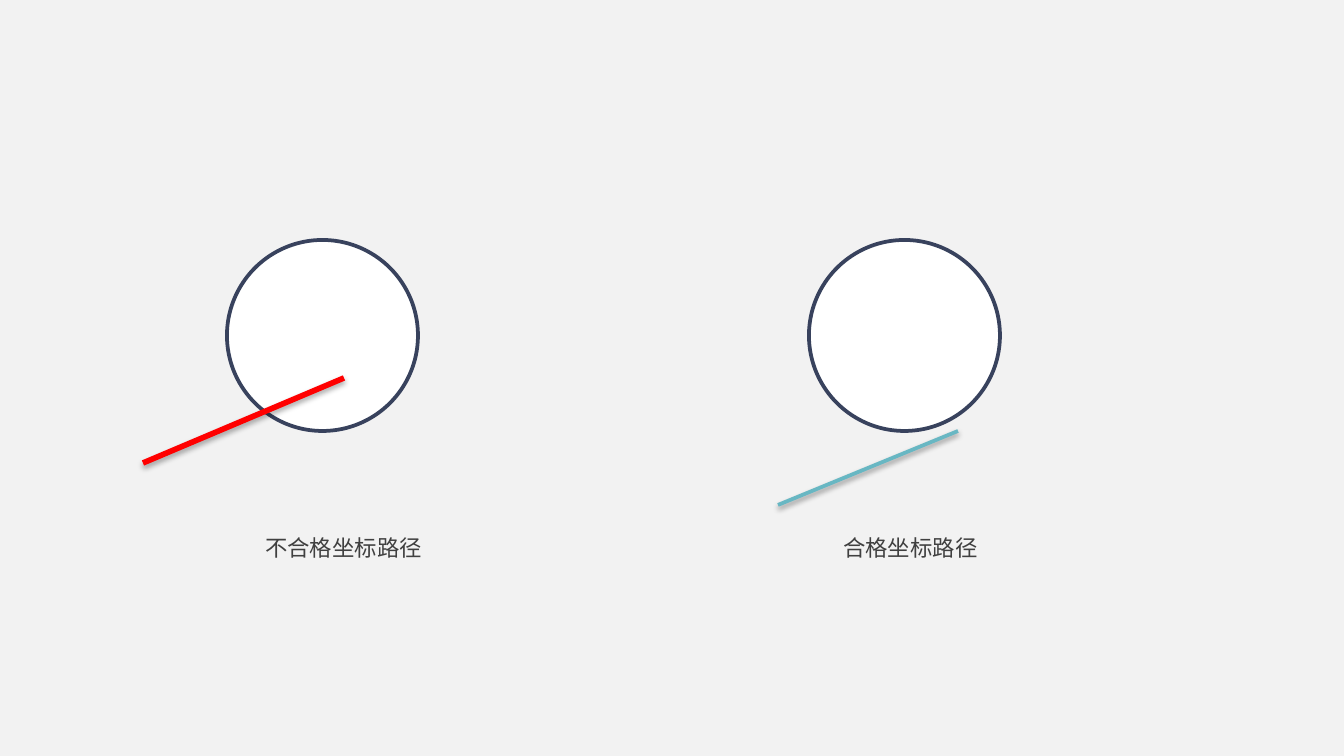
from dataclasses import dataclass

from lxml.etree import SubElement
from pptx import Presentation
from pptx.dml.color import RGBColor
from pptx.enum.shapes import MSO_CONNECTOR as Connector, MSO_SHAPE as Shape
from pptx.enum.text import MSO_AUTO_SIZE as AutoSize
from pptx.oxml.ns import qn
from pptx.util import Pt

EMU_PER_PX = 914400 / 134.4


def px(length):
    return round(length * EMU_PER_PX)


def color(value):
    return RGBColor.from_string(value)


@dataclass(frozen=True)
class Theme:
    background: str = "F2F2F2"
    circle_fill: str = "FFFFFF"
    circle_line: str = "38425D"
    rejected: str = "FF0000"
    accepted: str = "68B7C3"
    shadow: str = "000000"
    text: str = "404040"
    font: str = "Noto Sans CJK SC"
    label_size: int = 12


class PathSlide:
    def __init__(self, presentation, theme):
        self.theme = theme
        self.slide = presentation.slides.add_slide(presentation.slide_layouts[6])
        fill = self.slide.background.fill
        fill.solid()
        fill.fore_color.rgb = color(theme.background)

    def stroke(self, line, line_color, width):
        line.color.rgb = color(line_color)
        line.width = Pt(width)

    def circle(self, left, top, diameter):
        shape = self.slide.shapes.add_shape(
            Shape.OVAL, px(left), px(top), px(diameter), px(diameter)
        )
        shape.shadow.inherit = False
        shape.fill.solid()
        shape.fill.fore_color.rgb = color(self.theme.circle_fill)
        self.stroke(shape.line, self.theme.circle_line, 2)

    def path_line(self, start, end, line_color, width, distance, opacity):
        connector = self.slide.shapes.add_connector(
            Connector.STRAIGHT, *map(px, start + end)
        )
        self.stroke(connector.line, line_color, width)
        effects = SubElement(connector._element.spPr, qn("a:effectLst"))
        shadow = SubElement(
            effects, qn("a:outerShdw"), blurRad=str(Pt(3.1)),
            dist=str(Pt(distance)), dir="5400000", rotWithShape="0",
        )
        tint = SubElement(shadow, qn("a:srgbClr"), val=self.theme.shadow)
        SubElement(tint, qn("a:alpha"), val=str(opacity * 1000))

    def label(self, text, left, top, width, height):
        box = self.slide.shapes.add_textbox(px(left), px(top), px(width), px(height))
        frame = box.text_frame
        frame.word_wrap = True
        frame.auto_size = AutoSize.SHAPE_TO_FIT_TEXT
        run = frame.paragraphs[0].add_run()
        run.text = text
        formats = {"name": self.theme.font, "size": Pt(self.theme.label_size)}
        for name, value in formats.items():
            setattr(run.font, name, value)
        run.font.color.rgb = color(self.theme.text)
        SubElement(run._r.get_or_add_rPr(), qn("a:ea"), typeface=self.theme.font)


def main():
    presentation = Presentation()
    presentation.slide_width, presentation.slide_height = px(1344), px(756)
    theme = Theme()
    page = PathSlide(presentation, theme)

    for circle_left in (227, 809):
        page.circle(circle_left, 240, 191)

    page.path_line((143, 463), (344, 378), theme.rejected, 3, 1.8, 35)
    page.path_line((778, 505), (958, 431), theme.accepted, 2, 1.6, 38)

    for text, label_left in (("不合格坐标路径", 252), ("合格坐标路径", 830)):
        page.label(text, label_left, 528, 200, 40)

    presentation.save("out.pptx")


if __name__ == "__main__":
    main()
